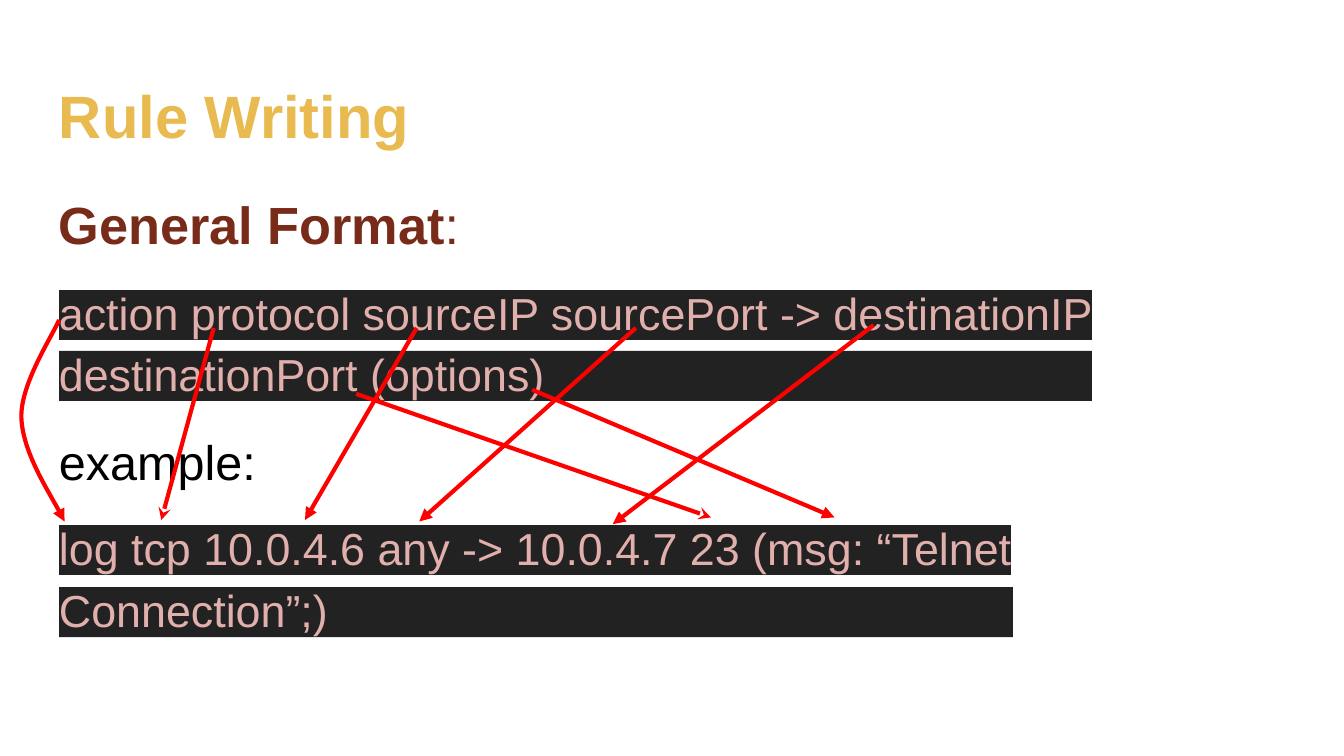
"""Builds a slide that maps the parts of a rule format to an example rule."""
from lxml import etree
from pptx import Presentation
from pptx.dml.color import RGBColor
from pptx.enum.shapes import MSO_CONNECTOR, MSO_SHAPE
from pptx.enum.text import MSO_ANCHOR, PP_ALIGN
from pptx.oxml.ns import qn
from pptx.util import Pt

STRAIGHT = MSO_CONNECTOR.STRAIGHT
RECTANGLE = MSO_SHAPE.RECTANGLE
TOP = MSO_ANCHOR.TOP
LEFT = PP_ALIGN.LEFT

FONT = "Arial"
GOLD, BROWN, BLACK = "E8BA4F", "792B19", "000000"
PINK, DARK, RED = "E1B0AD", "222222", "FF0000"


def color(hex_value):
    return RGBColor.from_string(hex_value)


def add_text(paragraph, text, size=24, fill=BLACK, bold=False, highlight=None):
    for index, line in enumerate(text.split("\n")):
        if index:
            paragraph.add_line_break()
        run = paragraph.add_run()
        run.text = line
        font = run.font
        font.size, font.bold, font.name = Pt(size), bold, FONT
        font.color.rgb = color(fill)
        if highlight:
            mark = etree.Element(qn("a:highlight"))
            etree.SubElement(mark, qn("a:srgbClr"), val=highlight)
            run.font._element.find(qn("a:solidFill")).addnext(mark)


class RuleSlide:
    def __init__(self, slide, arrow_color=RED, arrow_width=2.25):
        self.slide = slide
        self.arrow_color = arrow_color
        self.arrow_width = arrow_width

    def text_box(self, left, top, width, height, paragraphs, line_spacing=None, gap=0):
        box = self.slide.shapes.add_textbox(Pt(left), Pt(top), Pt(width), Pt(height))
        frame = box.text_frame
        frame.word_wrap = True
        frame.vertical_anchor = TOP
        frame.margin_left = frame.margin_right = Pt(7.2)
        frame.margin_top = frame.margin_bottom = Pt(7.2)
        for index, runs in enumerate(paragraphs):
            paragraph = frame.add_paragraph() if index else frame.paragraphs[0]
            paragraph.alignment = LEFT
            paragraph.line_spacing = line_spacing
            paragraph.space_before = Pt(gap if index else 0)
            for text, style in runs:
                add_text(paragraph, text, **style)

    def code_band(self, left, top, width, height):
        band = self.slide.shapes.add_shape(RECTANGLE, Pt(left), Pt(top), Pt(width), Pt(height))
        band.shadow.inherit = False
        band.fill.solid()
        band.fill.fore_color.rgb = color(DARK)
        band.line.fill.background()

    def arrow(self, start, end, head="triangle"):
        points = [Pt(value) for value in (*start, *end)]
        connector = self.slide.shapes.add_connector(STRAIGHT, *points)
        etree.SubElement(self.style_arrow(connector, head), qn("a:effectLst"))

    def curved_arrow(self, start, *curve, head="triangle"):
        points = [(Pt(x), Pt(y)) for x, y in curve]
        builder = self.slide.shapes.build_freeform(Pt(start[0]), Pt(start[1]))
        builder.add_line_segments(points, close=False)
        shape = builder.convert_to_shape()
        shape.shadow.inherit = False
        shape.fill.background()
        segments = list(shape._element.iter(qn("a:lnTo")))
        for first in range(0, len(segments), 3):
            bezier = etree.Element(qn("a:cubicBezTo"))
            segments[first].addprevious(bezier)
            for segment in segments[first:first + 3]:
                bezier.append(segment[0])
                segment.getparent().remove(segment)
        self.style_arrow(shape, head)

    def style_arrow(self, shape, head):
        shape.line.color.rgb = color(self.arrow_color)
        shape.line.width = Pt(self.arrow_width)
        properties = shape._element.spPr
        etree.SubElement(properties.find(qn("a:ln")), qn("a:tailEnd"), type=head)
        return properties


def main():
    deck = Presentation()
    deck.slide_width, deck.slide_height = Pt(720), Pt(405)
    page = RuleSlide(deck.slides.add_slide(deck.slide_layouts[6]))

    code = {"fill": PINK, "highlight": DARK}
    heading = {"size": 28, "fill": BROWN}
    rule_format = "action protocol sourceIP sourcePort -> destinationIP destinationPort (options)"
    example_rule = "log tcp 10.0.4.6 any -> 10.0.4.7 23 (msg: “Telnet\nConnection”;)"

    page.code_band(31.7, 188, 553.3, 26.8)
    page.code_band(31.7, 314.5, 511, 26.8)
    page.text_box(24.5, 35.3, 671, 45.4,
                  [[("Rule Writing", {"size": 32, "fill": GOLD, "bold": True})]])
    page.text_box(24.5, 90.7, 671, 269.3, [
        [("General Format", {**heading, "bold": True}), (":", heading)],
        [(rule_format, code)],
        [("example:", {"size": 26})],
        [(example_rule, code)],
    ], line_spacing=1.15, gap=12)

    page.curved_arrow((31.7, 171.4), (28.1, 180), (10.8, 205.9), (11.5, 223.9),
                      (12.2, 241.9), (30.2, 270), (34.6, 279.4))
    for start, end, head in [
        ((190.8, 211), (380.9, 277.2), "stealth"),
        ((114.5, 175.7), (86.4, 278.6), "stealth"),
        ((223.2, 175.7), (163.4, 278.6), "triangle"),
        ((340.6, 175.7), (224.6, 279.4), "triangle"),
        ((468, 174.2), (328.3, 280.8), "triangle"),
        ((285.1, 208.8), (447.1, 277.2), "triangle"),
    ]:
        page.arrow(start, end, head)

    deck.save("out.pptx")


if __name__ == "__main__":
    main()
